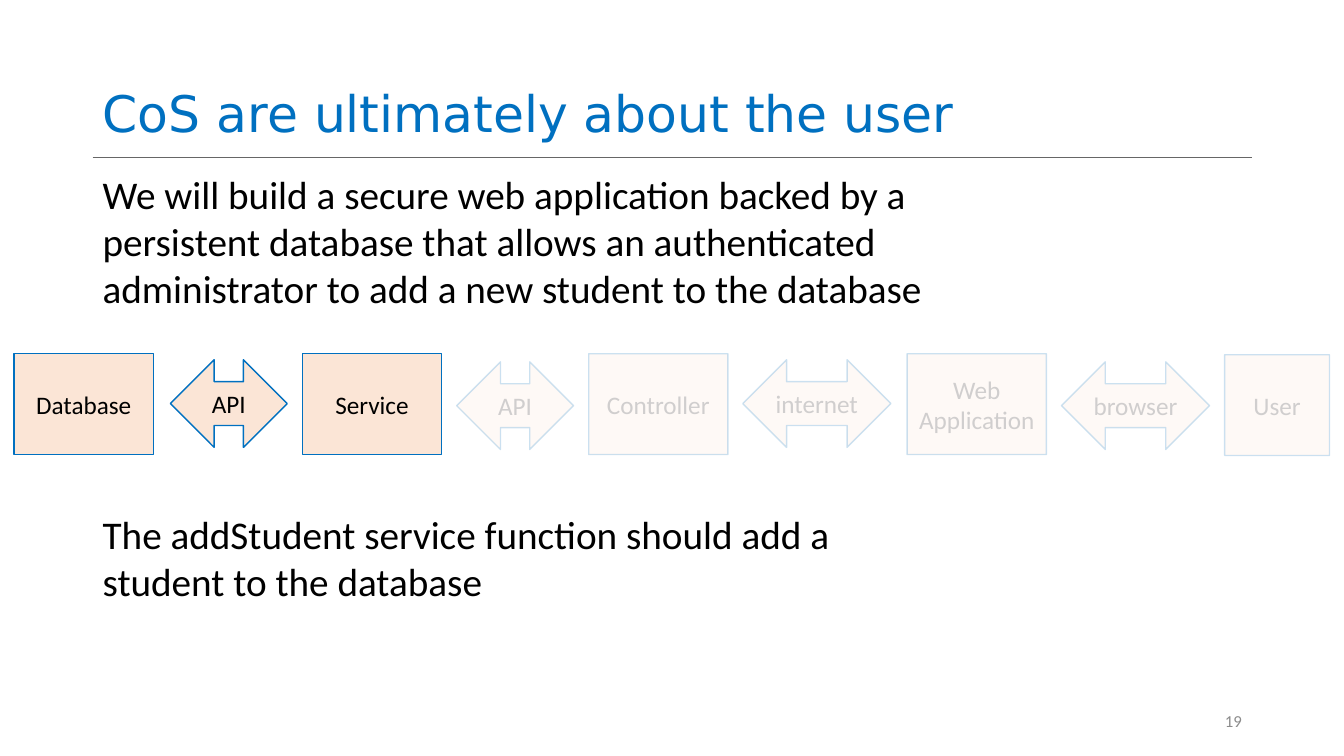
"""Build a slide that follows a user story from the database to the user."""
from lxml.etree import SubElement
from pptx import Presentation
from pptx.dml.color import RGBColor
from pptx.enum.shapes import MSO_CONNECTOR, MSO_SHAPE
from pptx.enum.text import MSO_ANCHOR, PP_ALIGN
from pptx.oxml.ns import qn
from pptx.util import Pt


def color(value):
    return RGBColor.from_string(value)


class SlideBuilder:
    blue = "0070C0"
    peach = "FBE5D6"
    black = "000000"
    faded_text = "D0CECE"
    gray = "8C8C8C"
    rule_gray = "666666"
    body_font = "Calibri"
    title_font = "DejaVu Sans"
    faded_opacity = 20

    def __init__(self, deck):
        self.slide = deck.slides.add_slide(deck.slide_layouts[6])

    def style(self, paragraph, size, value, font=body_font, align=PP_ALIGN.LEFT):
        paragraph.alignment = align
        paragraph.font.name = font
        paragraph.font.size = Pt(size)
        paragraph.font.color.rgb = color(value)

    def text(self, area, paragraphs, size, value, font=body_font,
             align=PP_ALIGN.LEFT, anchor=MSO_ANCHOR.TOP, line_spacing=1.0, gap=0):
        box = self.slide.shapes.add_textbox(*map(Pt, area))
        frame = box.text_frame
        frame.word_wrap = True
        frame.vertical_anchor = anchor
        for index, words in enumerate(paragraphs):
            para = frame.add_paragraph() if index else frame.paragraphs[0]
            para.text = words
            para.line_spacing = line_spacing
            if index:
                para.space_before = Pt(gap)
            self.style(para, size, value, font, align)

    def rule(self, left, right, top):
        line = self.slide.shapes.add_connector(
            MSO_CONNECTOR.STRAIGHT, Pt(left), Pt(top), Pt(right), Pt(top))
        line.line.color.rgb = color(self.rule_gray)
        line.line.width = Pt(0.5)
        SubElement(line._element.spPr, qn("a:effectLst"))

    def block(self, kind, area, label, faded):
        shape = self.slide.shapes.add_shape(kind, *map(Pt, area))
        shape.shadow.inherit = False
        shape.fill.solid()
        shape.fill.fore_color.rgb = color(self.peach)
        shape.line.color.rgb = color(self.blue)
        shape.line.width = Pt(1)
        if faded:
            for fill_color in shape._element.spPr.iter(qn("a:srgbClr")):
                SubElement(fill_color, qn("a:alpha"), val=str(self.faded_opacity * 1000))
        frame = shape.text_frame
        frame.word_wrap = True
        frame.vertical_anchor = MSO_ANCHOR.MIDDLE
        para = frame.paragraphs[0]
        para.text = label
        self.style(para, 18, self.faded_text if faded else self.black,
                   align=PP_ALIGN.CENTER)

    def component(self, left, top, width, label, faded=True):
        self.block(MSO_SHAPE.RECTANGLE, (left, top, width, 72), label, faded)

    def link(self, left, top, width, label, faded=True):
        self.block(MSO_SHAPE.LEFT_RIGHT_ARROW, (left, top, width, 62.6), label, faded)


def main():
    deck = Presentation()
    deck.slide_width, deck.slide_height = Pt(960), Pt(540)
    page = SlideBuilder(deck)

    page.rule(66.24, 894.24, 112.3)
    page.text((66.24, 1.44, 828, 104.4), ["CoS are ultimately about the user"],
              36, page.blue, page.title_font, anchor=MSO_ANCHOR.BOTTOM, line_spacing=0.9)
    page.text((66.24, 118.1, 620.6, 342.7),
              ["We will build a secure web application backed by a persistent database "
               "that allows an authenticated administrator to add a new student to the database",
               "The addStudent service function should add a student to the database"],
              28, page.black, gap=142)
    page.text((678.24, 500.4, 216, 28.8), ["19"], 12, page.gray,
              align=PP_ALIGN.RIGHT, anchor=MSO_ANCHOR.MIDDLE)

    box_top, link_top, low_link_top = 252.7, 257, 258.5
    box_width, short_link, long_link = 99.4, 83.5, 105.8
    page.component(10.1, box_top, box_width, "Database", faded=False)
    page.link(121.7, link_top, short_link, "API", faded=False)
    page.component(216, box_top, box_width, "Service", faded=False)
    page.link(326.2, low_link_top, short_link, "API")
    page.component(420.5, box_top, box_width, "Controller")
    page.link(530.6, link_top, long_link, "internet")
    page.component(648, box_top, box_width, "Web Application")
    page.link(758.2, low_link_top, long_link, "browser")
    page.component(874.8, 253.4, 74.9, "User")

    deck.save("out.pptx")


if __name__ == "__main__":
    main()
